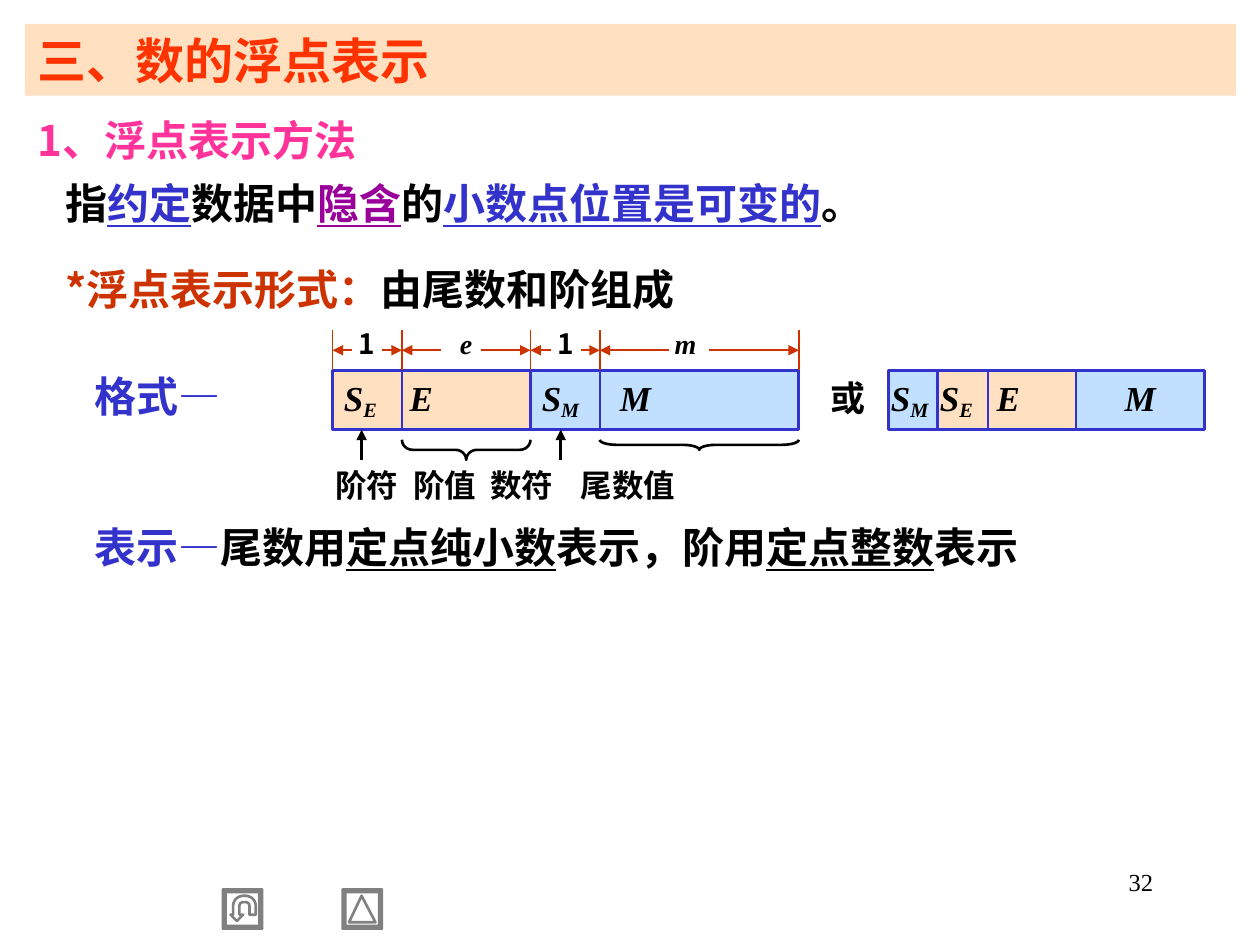
import math

import lxml.etree
import pptx
import pptx.dml.color
import pptx.enum.shapes
import pptx.enum.text
import pptx.oxml.ns
import pptx.util

Inches = pptx.util.Inches
Pt = pptx.util.Pt
RGBColor = pptx.dml.color.RGBColor
Align = pptx.enum.text.PP_ALIGN
Anchor = pptx.enum.text.MSO_ANCHOR
Preset = pptx.enum.shapes.MSO_SHAPE
qn = pptx.oxml.ns.qn

BLACK = RGBColor(0x00, 0x00, 0x00)
GRAY = RGBColor(0x80, 0x80, 0x80)
PEACH = RGBColor(0xFF, 0xCC, 0x99)
SKY = RGBColor(0x99, 0xCC, 0xFF)
BLUE = RGBColor(0x33, 0x33, 0xCC)
RUST = RGBColor(0xCC, 0x33, 0x00)
RED = RGBColor(0xFF, 0x33, 0x00)
PINK = RGBColor(0xFF, 0x33, 0x99)
PURPLE = RGBColor(0x99, 0x00, 0x99)

HAN = {"name": "Noto Sans CJK SC", "bold": True}
HEADING = HAN | {"size": Pt(28)}
BODY = HAN | {"size": Pt(24)}
SYMBOL = {"name": "Times New Roman", "bold": True, "italic": True, "size": Pt(20)}
FIELD_INSETS = (0.02, 0.05, 0.02, 0.05)
LABEL_INSETS = (0.02, 0.01, 0.02, 0.01)
BODY_INSETS = (0.1, 0.05, 0.1, 0.05)
CELL_HEIGHT = 0.47


def add_span(para, text, style, color=BLACK, **extra):
    span = para.add_run()
    span.text = text
    baseline = extra.pop("baseline", None)
    for key, value in (style | extra).items():
        setattr(span.font, key, value)
    span.font.color.rgb = color
    properties = span._r.get_or_add_rPr()
    lxml.etree.SubElement(properties, qn("a:ea"), typeface=style["name"])
    if baseline:
        properties.set("baseline", str(baseline))


def add_tabs(para, stops):
    tabs = lxml.etree.SubElement(para._p.get_or_add_pPr(), qn("a:tabLst"))
    for stop in stops:
        lxml.etree.SubElement(tabs, qn("a:tab"), pos=str(Inches(stop)), algn="l")


def set_frame(frame, insets, anchor=Anchor.TOP):
    left, top, right, bottom = map(Inches, insets)
    settings = {"word_wrap": True, "vertical_anchor": anchor, "margin_left": left,
                "margin_top": top, "margin_right": right, "margin_bottom": bottom}
    for key, value in settings.items():
        setattr(frame, key, value)


def add_text(page, bounds, insets=BODY_INSETS, anchor=Anchor.TOP):
    box = page.shapes.add_textbox(*map(Inches, bounds))
    set_frame(box.text_frame, insets, anchor)
    return box.text_frame


def add_panel(page, bounds, color, insets, border=None):
    """Add a rectangle filled at 60 % opacity and return its text frame."""
    panel = page.shapes.add_shape(Preset.RECTANGLE, *map(Inches, bounds))
    panel.shadow.inherit = False
    panel.fill.solid()
    panel.fill.fore_color.rgb = color
    tint = panel.fill._xPr.find(".//" + qn("a:srgbClr"))
    lxml.etree.SubElement(tint, qn("a:alpha"), val="60000")
    if border:
        panel.line.color.rgb = border
        panel.line.width = Pt(1.5)
    else:
        panel.line.fill.background()
    set_frame(panel.text_frame, insets)
    panel.text_frame.paragraphs[0].alignment = Align.LEFT
    return panel.text_frame


def add_line(page, start, end, color, width=1, arrow=False):
    line = page.shapes.add_connector(pptx.enum.shapes.MSO_CONNECTOR.STRAIGHT,
                                     *map(Inches, start + end))
    line.line.color.rgb = color
    line.line.width = Pt(width)
    if arrow:
        lxml.etree.SubElement(line.line._get_or_add_ln(), qn("a:tailEnd"), type="triangle")
    lxml.etree.SubElement(line._element.spPr, qn("a:effectLst"))


def add_body(page, bounds, lines):
    """Each line is (indent, points before, spans), a span being (text, colour, underlined)."""
    frame = add_text(page, bounds)
    for index, (indent, before, spans) in enumerate(lines):
        para = frame.add_paragraph() if index else frame.paragraphs[0]
        para.line_spacing = 1.25
        para.space_before = Pt(before)
        para._p.get_or_add_pPr().set("marL", str(Inches(indent)))
        for text, color, underlined in spans:
            add_span(para, text, BODY, color, underline=underlined)


def add_label(page, bounds, text, style):
    para = add_text(page, bounds, LABEL_INSETS, Anchor.MIDDLE).paragraphs[0]
    para.alignment = Align.CENTER
    para.line_spacing = 0.9
    add_span(para, text, style)


def add_field(page, bounds, color, sign, value="", indent=0, tab=None):
    """Add a cell with S and its subscript, then the value letter at the tab."""
    left, *others = FIELD_INSETS
    para = add_panel(page, bounds, color, (left + indent, *others), BLUE).paragraphs[0]
    if tab:
        add_tabs(para, [tab])
    add_span(para, "S", SYMBOL)
    add_span(para, sign, SYMBOL, baseline=-18000)
    if value:
        add_span(para, "\t" + value, SYMBOL)


def add_brace(page, left, right, top, depth):
    """Add a brace under the span from left to right, its tip pointing down."""
    length = right - left
    bounds = ((left + right - depth) / 2, top + (depth - length) / 2, depth, length)
    brace = page.shapes.add_shape(Preset.LEFT_BRACE, *map(Inches, bounds))
    brace.rotation = 270
    brace.adjustments[0] = length / 12 / depth
    brace.shadow.inherit = False
    brace.fill.background()
    brace.line.color.rgb = BLACK
    brace.line.width = Pt(1.5)


def add_main_format(page, left, top):
    edges = [left + offset for offset in (0, 0.55, 1.57, 2.12, 3.7)]
    bottom = top + CELL_HEIGHT
    add_field(page, (left, top, 1.57, CELL_HEIGHT), PEACH, "E", "E", 0.07, 0.52)
    add_field(page, (edges[2], top, 2.13, CELL_HEIGHT), SKY, "M", "M", 0.07, 0.62)
    for edge in (edges[1], edges[3]):
        add_line(page, (edge, top), (edge, bottom), BLUE)
    for edge in edges:
        add_line(page, (edge, top - 0.32), (edge, top), RUST)

    digit, letter = HAN | {"size": Pt(16)}, SYMBOL | {"size": Pt(16)}
    widths = [("1", digit, 0.15, 0.39, 0.15), ("e", letter, 0.86, 1.18, 0.94),
              ("1", digit, 1.73, 1.97, 1.73), ("m", letter, 2.67, 2.99, 2.68)]
    level = top - 0.16
    for start, end, (text, style, gap_start, gap_end, place) in zip(edges, edges[1:], widths):
        add_label(page, (left + place, top - 0.32, 0.24, 0.24), text, style)
        add_line(page, (left + gap_start, level), (start, level), RUST, arrow=True)
        add_line(page, (left + gap_end, level), (end, level), RUST, arrow=True)

    for offset in (0.23, 1.81):
        add_line(page, (left + offset, bottom + 0.24), (left + offset, bottom), BLACK, 1.5, True)
    add_brace(page, edges[1], edges[2], bottom + 0.08, 0.16)
    add_brace(page, edges[3], edges[4], bottom + 0.08, 0.08)
    para = add_text(page, (left, bottom + 0.24, 3.7, 0.32), FIELD_INSETS).paragraphs[0]
    add_tabs(para, (0.62, 1.23, 1.95))
    add_span(para, "阶符\t阶值\t数符\t尾数值", HAN | {"size": Pt(18)})


def add_other_format(page, left, top):
    add_label(page, (left - 0.48, top + 0.08, 0.31, 0.31), "或", HAN | {"size": Pt(20)})
    add_field(page, (left + 0.39, top, 1.1, CELL_HEIGHT), PEACH, "E", "E", tab=0.45)
    frame = add_panel(page, (left + 1.49, top, 1.02, CELL_HEIGHT), SKY, FIELD_INSETS, BLUE)
    frame.paragraphs[0].alignment = Align.CENTER
    add_span(frame.paragraphs[0], "M", SYMBOL)
    add_line(page, (left + 0.79, top), (left + 0.79, top + CELL_HEIGHT), BLUE)
    add_field(page, (left, top, 0.39, CELL_HEIGHT), SKY, "M")


def arc(center_x, center_y, radius, start, end):
    angles = [math.radians(start + (end - start) * step / 6) for step in range(7)]
    return [(center_x + radius * math.cos(a), center_y - radius * math.sin(a)) for a in angles]


def add_button(page, left, top, icon, size=0.31, bevel=0.02):
    """Draw a bevelled square outline around the icon's outline."""
    outer = [(0, 0), (size, 0), (size, size), (0, size)]
    far = size - bevel
    inner = [(bevel, bevel), (far, bevel), (far, far), (bevel, far)]
    sides = [[outer[i - 1], outer[i], inner[i], inner[i - 1]] for i in range(4)]
    outlines = [[(Inches(left + x), Inches(top + y)) for x, y in outline]
                for outline in (*sides, icon)]
    builder = page.shapes.build_freeform(*outlines[0][0])
    for index, outline in enumerate(outlines):
        if index:
            builder.move_to(*outline[0])
        builder.add_line_segments(outline[1:], close=True)
    button = builder.convert_to_shape()
    button.shadow.inherit = False
    button.fill.background()
    button.line.color.rgb = GRAY
    button.line.width = Pt(1.5)


def main():
    deck = pptx.Presentation()
    deck.slide_width, deck.slide_height = Inches(10), Inches(7.5)
    page = deck.slides.add_slide(deck.slide_layouts[6])

    number = add_text(page, (7.17, 6.83, 2.08, 0.5)).paragraphs[0]
    number.alignment = Align.RIGHT
    add_span(number, "32", {"name": "Times New Roman", "size": Pt(14)})
    title = add_panel(page, (0.2, 0.19, 9.61, 0.57), PEACH, BODY_INSETS)
    add_span(title.paragraphs[0], "三、数的浮点表示", HEADING, RED)

    add_body(page, (0.2, 0.76, 9.61, 1.1), [
        (0, 0, [("1、浮点表示方法", PINK, False)]),
        (0.22, 0, [("指", BLACK, False), ("约定", BLUE, True), ("数据中", BLACK, False),
                   ("隐含", PURPLE, True), ("的", BLACK, False),
                   ("小数点位置是可变的", BLUE, True), ("。", BLACK, False)])])
    add_body(page, (0.2, 3.99, 9.61, 0.6), [
        (0.45, 0, [("表示—", BLUE, False), ("尾数用", BLACK, False), ("定点纯小数", BLACK, True),
                   ("表示，阶用", BLACK, False), ("定点整数", BLACK, True),
                   ("表示", BLACK, False)])])
    add_body(page, (0.2, 1.94, 9.61, 1.39), [
        (0.22, 0, [("*浮点表示形式：", RUST, False), ("由尾数和阶组成", BLACK, False)]),
        (0.45, 25, [("格式—", BLUE, False)])])

    add_main_format(page, 2.64, 2.94)
    add_other_format(page, 7.05, 2.94)
    add_button(page, 2.72, 7.06, [(0.15, 0.05), (0.26, 0.26), (0.05, 0.26)])
    add_button(page, 1.77, 7.06, [
        (0.26, 0.2), (0.21, 0.2), *arc(0.18, 0.13, 0.03, 0, 90), *arc(0.16, 0.13, 0.03, 90, 180),
        (0.13, 0.2), (0.16, 0.2), (0.11, 0.25), (0.06, 0.2), (0.08, 0.2),
        *arc(0.16, 0.13, 0.08, 180, 90), *arc(0.18, 0.13, 0.08, 90, 0)])
    deck.save("out.pptx")


if __name__ == "__main__":
    main()
